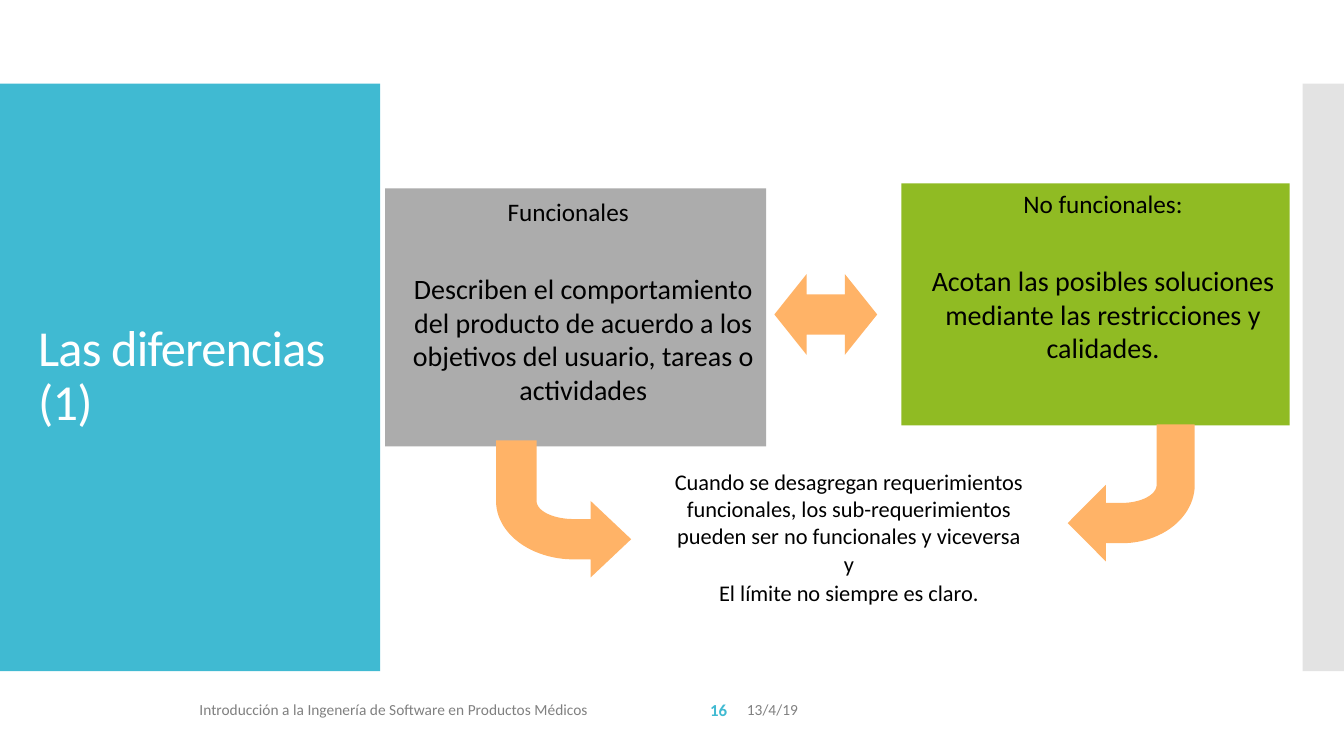
import math

import pptx
import pptx.dml.color
import pptx.enum.shapes
import pptx.enum.text
import pptx.oxml
import pptx.oxml.ns
import pptx.util

Inches = pptx.util.Inches
Pt = pptx.util.Pt
Shape = pptx.enum.shapes.MSO_SHAPE
Align = pptx.enum.text.PP_ALIGN
Anchor = pptx.enum.text.MSO_ANCHOR

COLORS = {
    "teal": "40BAD2",
    "edge": "C8C8C8",
    "gray": "ACACAC",
    "green": "90BB23",
    "orange": "FFB367",
    "white": "FFFFFF",
    "black": "000000",
    "note": "808080",
}


def color(name):
    return pptx.dml.color.RGBColor.from_string(COLORS[name])


def assign(target, values):
    for key, value in values.items():
        setattr(target, key, value)


def paint(shape, name):
    shape.shadow.inherit = False
    shape.fill.solid()
    shape.fill.fore_color.rgb = color(name)
    shape.line.fill.background()


def block(slide, box, name, kind=Shape.RECTANGLE):
    shape = slide.shapes.add_shape(kind, *map(Inches, box))
    paint(shape, name)
    return shape


def write(shape, lines, anchor=Anchor.TOP):
    frame = shape.text_frame
    assign(frame, {"word_wrap": True, "vertical_anchor": anchor})
    for i, (text, size, tint, layout) in enumerate(lines):
        para = frame.paragraphs[0] if i == 0 else frame.add_paragraph()
        assign(para, layout)
        run = para.add_run()
        run.text = text
        assign(run.font, {"name": "Calibri", "size": Pt(size)})
        run.font.color.rgb = color(tint)
    return frame


def label(slide, box, lines, anchor=Anchor.TOP):
    return write(slide.shapes.add_textbox(*map(Inches, box)), lines, anchor)


def side(slide, box, title):
    left, top, width, height = box
    block(slide, box, "teal")
    line = (title, 36, "white", {"line_spacing": 0.9})
    area = (left + 0.28, top + 0.4, width - 0.55, height - 0.8)
    frame = label(slide, area, [line], Anchor.MIDDLE)
    frame.paragraphs[0].runs[0].font._element.set("spc", "-60")


def edge(slide, box):
    shape = block(slide, box, "edge")
    tint = shape.fill._xPr.find(".//" + pptx.oxml.ns.qn("a:srgbClr"))
    space = pptx.oxml.ns.nsdecls("a")
    tint.append(pptx.oxml.parse_xml(f'<a:alpha {space} val="50000"/>'))


def card(slide, box, name, head, body, inset, margins):
    shape = block(slide, box, name)
    center = {"alignment": Align.CENTER}
    frame = write(shape, [
        (head, 18, "black", center),
        (body, 20, "black", {**center, "space_before": Pt(32)}),
    ])
    frame.margin_top = Inches(inset)
    for para, (left, right) in zip(frame.paragraphs, margins):
        props = para._p.get_or_add_pPr()
        props.set("marL", str(Inches(left)))
        props.set("marR", str(Inches(right)))
        props.set("indent", "0")


def bend(slide, box, flip=False):
    left, top, width, height = box
    thick = 0.3 * width
    half, bar = 0.38, 0.2
    mid = height - half
    neck = width - thick
    turn = 0.6
    reach = 0.575 * width
    angles = [math.pi / 2 * i / 24 for i in range(25)]

    def arc(start, base):
        rise, run = base - turn, reach - start
        return [(reach - run * math.cos(a), turn + rise * math.sin(a))
                for a in angles]

    points = [(0, 0), *arc(0, mid + bar), (neck, mid + bar),
              (neck, height), (width, mid), (neck, mid - half),
              (neck, mid - bar), *reversed(arc(thick, mid - bar)),
              (thick, 0)]
    spots = [(Inches(left + (width - x if flip else x)), Inches(top + y))
             for x, y in points]
    path = slide.shapes.build_freeform(*spots[0], scale=1.0)
    path.add_line_segments(spots[1:], close=True)
    paint(path.convert_to_shape(), "orange")


def links(slide):
    arrow = block(slide, (7.68, 2.72, 1.02, 0.8), "orange",
                  Shape.LEFT_RIGHT_ARROW)
    arrow.adjustments[0] = 0.5
    arrow.adjustments[1] = 0.4
    bend(slide, (4.92, 4.37, 1.34, 1.36))
    bend(slide, (10.59, 4.21, 1.26, 1.36), flip=True)


def claim(slide, box, texts):
    layout = {"alignment": Align.CENTER, "space_before": Pt(1)}
    label(slide, box, [(text, 16, "black", layout) for text in texts])


def footer(slide, box, course, page, date):
    left, top, width, height = box
    wide = 4.14
    slim = width - 2 * wide
    parts = [
        (0, wide, course, 11, "note", {}),
        (wide, slim, page, 12, "teal", {"alignment": Align.RIGHT}),
        (wide + slim, wide, date, 11, "note", {}),
    ]
    for x, span, text, size, tint, layout in parts:
        frame = label(slide, (left + x, top, span, height),
                      [(text, size, tint, layout)], Anchor.MIDDLE)
        frame.paragraphs[0].runs[0].font.bold = text == page


def main():
    deck = pptx.Presentation()
    assign(deck, {"slide_width": Inches(13.33), "slide_height": Inches(7.5)})
    slide = deck.slides.add_slide(deck.slide_layouts[6])
    side(slide, (0, 0.83, 3.77, 5.83), "Las diferencias (1)")
    edge(slide, (12.92, 0.83, 0.41, 5.83))
    card(slide, (3.82, 1.87, 3.78, 2.56), "gray", "Funcionales",
         "Describen el comportamiento del producto de acuerdo a los "
         "objetivos del usuario, tareas o actividades",
         0.08, [(0, 0.15), (0.15, 0)])
    card(slide, (8.94, 1.82, 3.85, 2.4), "green", "No funcionales:",
         "Acotan las posibles soluciones mediante las restricciones y "
         "calidades.",
         0.05, [(0.15, 0), (0.15, 0)])
    claim(slide, (6.35, 4.6, 4.14, 1.47), [
        "Cuando se desagregan requerimientos funcionales, los "
        "sub-requerimientos pueden ser no funcionales y viceversa",
        "y",
        "El límite no siempre es claro.",
    ])
    links(slide)
    footer(slide, (1.88, 6.84, 9.57, 0.4),
           "Introducción a la Ingenería de Software en Productos Médicos",
           "16", "13/4/19")
    deck.save("out.pptx")


if __name__ == "__main__":
    main()
